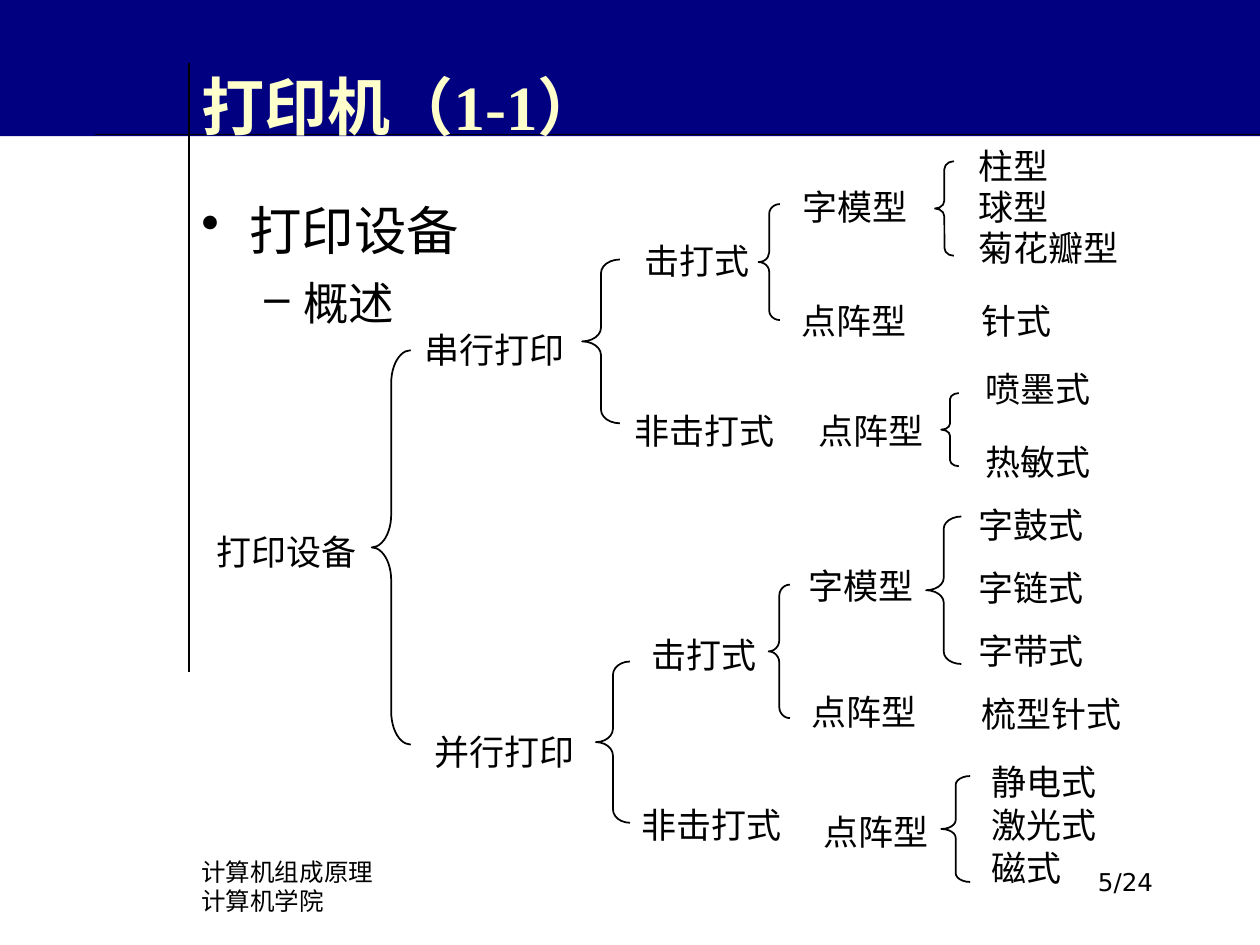
"""Builds a slide that sorts printers into a tree of braces."""
from lxml import etree
from pptx import Presentation
from pptx import util as u
from pptx.dml.color import RGBColor
from pptx.enum import shapes, text
from pptx.oxml.ns import qn

HAN, SANS, SERIF = "Noto Sans CJK SC", "DejaVu Sans", "Times New Roman"
INK, NAVY, CREAM = "000000", "000080", "FFFFCC"
COLS, ROWS = 100, 75


def tint(code):
    return RGBColor.from_string(code)


class Deck:
    def __init__(self):
        self.prs = Presentation()
        self.prs.slide_width, self.prs.slide_height = u.Inches(10), u.Inches(7.5)
        self.slide = self.prs.slides.add_slide(self.prs.slide_layouts[5])
        self.items = self.slide.shapes

    def grid(self, x, y, w, h):
        col, row = self.prs.slide_width / COLS, self.prs.slide_height / ROWS
        return [round(n) for n in (x * col, y * row, w * col, h * row)]

    def style(self, para, size, face, color=INK, bold=False):
        for run in para.runs:
            run.font.size, run.font.bold = u.Pt(size), bold
            run.font.color.rgb = tint(color)
            run.font.name = face
            etree.SubElement(run._r.get_or_add_rPr(), qn("a:ea"), typeface=HAN)

    def band(self, *area):
        box = self.items.add_shape(shapes.MSO_SHAPE.RECTANGLE, *self.grid(*area))
        box.shadow.inherit = False
        box.fill.solid()
        box.fill.fore_color.rgb = tint(NAVY)
        box.line.fill.background()

    def rule(self, *ends):
        line = self.items.add_connector(
            shapes.MSO_CONNECTOR.STRAIGHT, *self.grid(*ends))
        line.line.color.rgb, line.line.width = tint(INK), u.Pt(0.75)
        etree.SubElement(line.element.spPr, qn("a:effectLst"))

    def title(self, words, *area):
        box = self.items.title
        box.element.getparent().append(box.element)
        box.left, box.top, box.width, box.height = self.grid(*area)
        frame = box.text_frame
        frame.text, frame.word_wrap = words, True
        frame.vertical_anchor = text.MSO_ANCHOR.MIDDLE
        frame.paragraphs[0].alignment = text.PP_ALIGN.LEFT
        self.style(frame.paragraphs[0], 36, SERIF, CREAM, True)

    def label(self, words, x, y, w, h=4.3, size=20, face=HAN, right=False):
        frame = self.items.add_textbox(*self.grid(x, y, w, h)).text_frame
        frame.word_wrap, frame.text = True, words
        para = frame.paragraphs[0]
        if right:
            para.alignment = text.PP_ALIGN.RIGHT
        self.style(para, size, face)

    def stack(self, words, x, y, w, step):
        for i, word in enumerate(words.split()):
            self.label(word, x, y + i * step, w)

    def brace(self, x, y, w, h):
        mark = self.items.add_shape(
            shapes.MSO_SHAPE.LEFT_BRACE, *self.grid(x, y, w, h))
        mark.shadow.inherit = False
        mark.fill.background()
        mark.line.color.rgb, mark.line.width = tint(INK), u.Pt(1)
        mark.adjustments[0] = h / w / 12

    def points(self, rows, *area):
        frame = self.items.add_textbox(*self.grid(*area)).text_frame
        frame.word_wrap = True
        for i, (words, sign, size, face, left, hang, gap) in enumerate(rows):
            para = frame.add_paragraph() if i else frame.paragraphs[0]
            para.text, para.level, para.line_spacing = words, i, gap
            if i:
                para.space_before = u.Pt(size * 0.2)
            props = para._p.get_or_add_pPr()
            props.set("marL", str(u.Inches(left)))
            props.set("indent", str(-u.Inches(hang)))
            etree.SubElement(props, qn("a:buChar"), char=sign)
            self.style(para, size, face)


LABELS = [
    ("打印设备", 16.2, 41.6, 14.2),
    ("串行打印", 32.7, 25.6, 14.2), ("并行打印", 33.5, 57.5, 18.3),
    ("击打式", 50.2, 18.5, 11.7), ("非击打式", 49.4, 32, 13.3),
    ("击打式", 50.7, 49.8, 10.8), ("非击打式", 49.9, 63.3, 13.3),
    ("字模型", 62.7, 14.2, 11.5), ("点阵型", 62.6, 23.3, 18.3),
    ("点阵型", 64, 32, 11.4), ("字模型", 63.2, 44.3, 18.3),
    ("点阵型", 63.4, 54.3, 11.8), ("点阵型", 64.4, 63.8, 18.3),
]
LEAVES = [
    ("柱型 球型 菊花瓣型", 76.7, 11, 13.4, 3.25), ("针式", 76.9, 23.3, 9.3, 0),
    ("喷墨式 热敏式", 77.2, 28.7, 18.3, 5.8),
    ("字鼓式 字链式 字带式", 76.7, 39.5, 12.8, 5),
    ("梳型针式", 76.9, 54.5, 18.3, 0),
    ("静电式 激光式 磁式", 77.7, 59.9, 10.8, 3.4),
]
BRACES = [
    (29.5, 27.8, 3.1, 31.3), (46.2, 20.6, 3, 13), (47.3, 52.5, 2.7, 12.8),
    (60.2, 16.2, 1.7, 9.2), (61, 46.4, 1.7, 10.6), (74.2, 12.8, 1.5, 7.5),
    (74.7, 31.2, 1.4, 5.8), (73.5, 41, 2.8, 11.7), (74.7, 61.6, 2.3, 8.4),
]
POINTS = [
    ("打印设备", "•", 30, HAN, 0.38, 0.38, 1.2),
    ("概述", "–", 26, SERIF, 0.81, 0.31, 1.1),
]


def main():
    deck = Deck()
    deck.band(0, 0, COLS, 10.8)
    deck.rule(COLS, 10.7, 7.5, 10.7)
    deck.rule(15, 5, 15, 53.3)
    deck.title("打印机（1-1）", 15, 4.2, 85, 8.3)
    deck.points(POINTS, 15, 14.2, 76.7, 50)
    deck.label("计算机组成原理\v计算机学院", 15, 67.5, 47.5, 5, 14, SANS)
    deck.label("5/24", 71.7, 68.3, 20.8, 5, 14, SANS, True)
    for item in LABELS:
        deck.label(*item)
    for item in LEAVES:
        deck.stack(*item)
    for item in BRACES:
        deck.brace(*item)
    deck.prs.save("out.pptx")


if __name__ == "__main__":
    main()
